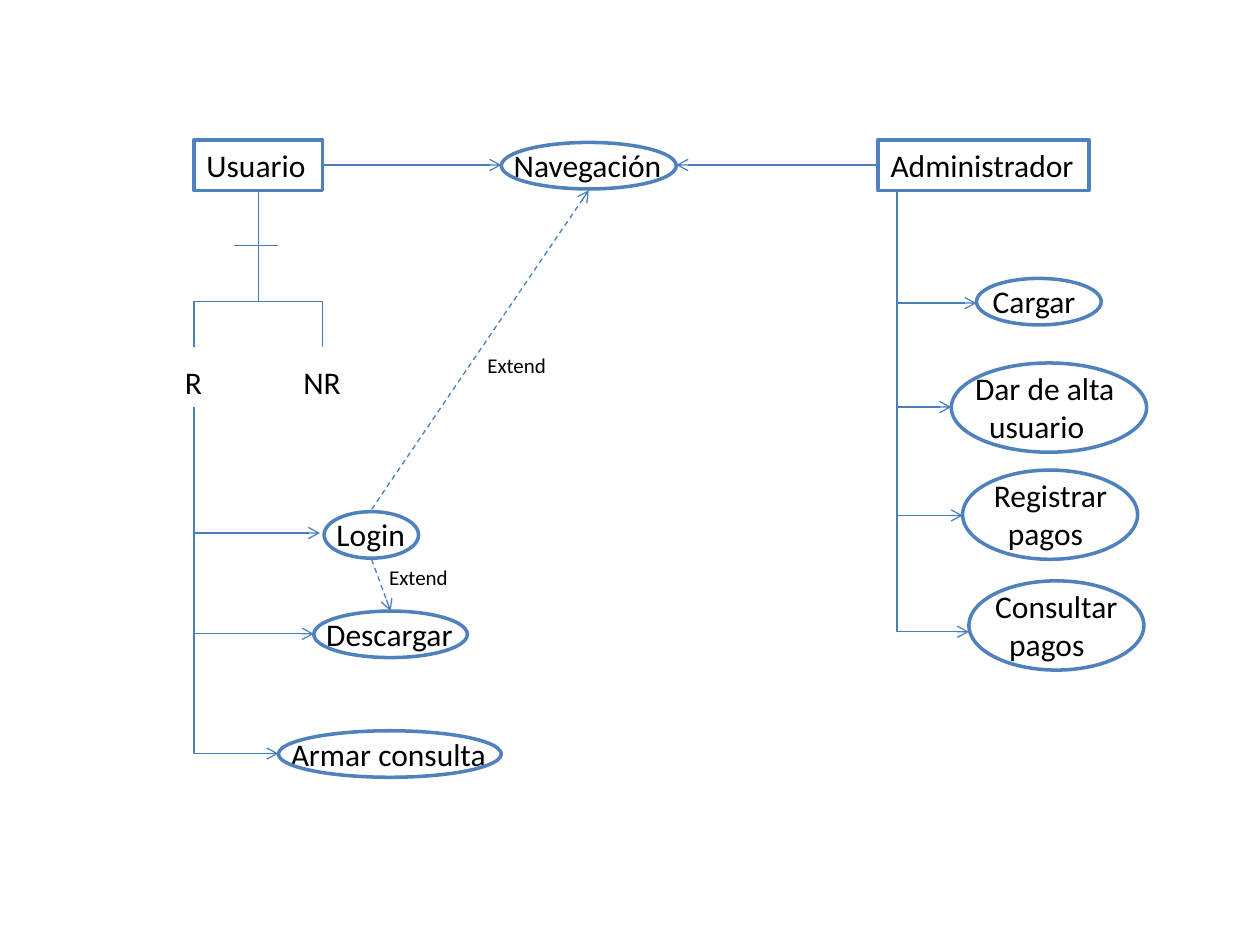
from pptx import Presentation
from pptx.dml.color import RGBColor
from pptx.enum.dml import MSO_LINE
from pptx.enum.shapes import MSO_CONNECTOR, MSO_SHAPE
from pptx.enum.text import MSO_ANCHOR, MSO_AUTO_SIZE
from pptx.oxml.ns import qn
from pptx.util import Pt
from lxml.etree import SubElement

OUTLINE, LINK, INK = "4F81BD", "4B7EBC", "000000"
TRUNK_R, TRUNK_ADMIN = 110.9, 512.6

# lines, ellipse left, top, width, text left, text width
USE_CASES = [
    (["Navegación"], 286.5, 80, 100, 286.5, 100),
    (["Login"], 185.2, 291, 54, 185.2, 54),
    (["Descargar"], 179.3, 347.8, 87.8, 179.3, 87.8),
    (["Armar consulta"], 159.1, 416.2, 127.4, 159.1, 127.4),
    (["Cargar"], 558, 157.7, 71.3, 560.2, 62.6),
    (["Dar de alta", "usuario"], 543.6, 207.4, 111.6, 550.1, 105.1),
    (["Registrar", "pagos"], 550.1, 268.6, 100, 560.9, 80),
    (["Consultar", "pagos"], 553.7, 331.9, 100, 561.6, 85),
]
# left, top, width, text, size
LABELS = [
    (98.6, 203.8, 24.5, "R", 18),
    (166.3, 203.8, 36, "NR", 18),
    (271.4, 198, 48.2, "Extend", 12),
    (215.3, 319, 48.2, "Extend", 12),
]
# x1, y1, x2, y2
TREE = [
    (147.6, 108.7, 147.6, 172.1),
    (110.9, 172.1, 184.3, 172.1),
    (110.9, 172.1, 110.9, 198),
    (184.3, 172.1, 184.3, 198),
    (133.9, 140.4, 159.1, 140.4),
]
ARROWS = [
    (184.6, 94.3, 286.5, 94.3, False),
    (501.8, 94.3, 386.5, 94.3, False),
    (212.4, 291, 336.5, 108.7, True),
    (212.4, 319.7, 223.2, 349.2, True),
]
# trunk x, trunk top, arrow tip x, arrow tip y
BRANCHES = [
    (TRUNK_R, 232.6, 182.9, 304.6),
    (TRUNK_R, 232.6, 179.3, 362.2),
    (TRUNK_R, 232.6, 159.1, 430.6),
    (TRUNK_ADMIN, 108.7, 558, 173.2),
    (TRUNK_ADMIN, 108.7, 543.6, 232.6),
    (TRUNK_ADMIN, 108.7, 550.1, 294.5),
    (TRUNK_ADMIN, 108.7, 553.7, 361),
]


def color(value):
    """Turn a hex string into a colour."""
    return RGBColor.from_string(value)


def write(s, lines, size=18, wrap=False):
    """Put left-aligned lines in a shape; later lines are indented."""
    tf = s.text_frame
    tf.text = "\n".join(lines)
    tf.word_wrap = wrap
    tf.auto_size = MSO_AUTO_SIZE.SHAPE_TO_FIT_TEXT
    tf.vertical_anchor = MSO_ANCHOR.TOP
    for i, p in enumerate(tf.paragraphs):
        pPr = p._p.get_or_add_pPr()
        pPr.set("algn", "l")
        if i:
            pPr.set("marL", str(Pt(8)))
        for r in p.runs:
            r.font.size = Pt(size)
            r.font.name = "Calibri"
            r.font.color.rgb = color(INK)


def add_label(s, left, top, width, lines, size=18):
    """Add a text box sized for its lines."""
    height = 7.2 + 1.22 * size * len(lines)
    tb = s.shapes.add_textbox(Pt(left), Pt(top), Pt(width), Pt(height))
    write(tb, lines, size)


def add_outline(s, kind, left, top, width, height):
    """Add an unfilled outlined shape."""
    sp = s.shapes.add_shape(kind, Pt(left), Pt(top), Pt(width), Pt(height))
    sp.shadow.inherit = False
    sp.fill.background()
    sp.line.color.rgb = color(OUTLINE)
    sp.line.width = Pt(2)
    return sp


def add_actor(s, left, width, text):
    """Add an actor's box."""
    sp = add_outline(s, MSO_SHAPE.RECTANGLE, left, 80, width, 29)
    write(sp, [text])


def add_use_case(s, lines, left, top, width, text_left, text_width):
    """Add a use case: its wording and the ellipse around it."""
    add_label(s, text_left, top, text_width, lines)
    drop, height = (1.4, 26.6) if len(lines) == 1 else (0, 51)
    add_outline(s, MSO_SHAPE.OVAL, left, top + drop, width, height)


def add_link(s, x1, y1, x2, y2, arrow=False, dashed=False,
             kind=MSO_CONNECTOR.STRAIGHT):
    """Add a thin connector, optionally with an arrowhead or dashes."""
    c = s.shapes.add_connector(kind, Pt(x1), Pt(y1), Pt(x2), Pt(y2))
    c.line.color.rgb = color(LINK)
    c.line.width = Pt(0.75)
    if dashed:
        c.line.dash_style = MSO_LINE.DASH
    if arrow:
        SubElement(c.line._get_or_add_ln(), qn("a:tailEnd"), type="arrow")
    SubElement(c._element.spPr, qn("a:effectLst"))
    return c


def add_branch(s, x1, y1, x2, y2):
    """Add an elbow arrow that goes down first, then right."""
    c = add_link(s, x1, y1, x2, y2, True, kind=MSO_CONNECTOR.ELBOW)
    dx, dy = x2 - x1, y2 - y1
    c.left, c.top = Pt((x1 + x2 - dy) / 2), Pt((y1 + y2 - dx) / 2)
    c.width, c.height = Pt(dy), Pt(dx)
    spPr = c._element.spPr
    xfrm = spPr.find(qn("a:xfrm"))
    xfrm.set("rot", "16200000")
    xfrm.set("flipH", "1")
    spPr.find(qn("a:prstGeom")).set("prst", "bentConnector2")


def main():
    """Build the use case diagram."""
    prs = Presentation()
    prs.slide_width, prs.slide_height = Pt(720), Pt(540)
    s = prs.slides.add_slide(prs.slide_layouts[6])
    add_actor(s, 110.9, 73.5, "Usuario")
    add_actor(s, 501.8, 120.4, "Administrador")
    for line in TREE:
        add_link(s, *line)
    for branch in BRANCHES:
        add_branch(s, *branch)
    for x1, y1, x2, y2, dashed in ARROWS:
        add_link(s, x1, y1, x2, y2, True, dashed)
    for use_case in USE_CASES:
        add_use_case(s, *use_case)
    for left, top, width, text, size in LABELS:
        add_label(s, left, top, width, [text], size)
    prs.save("out.pptx")


main()
